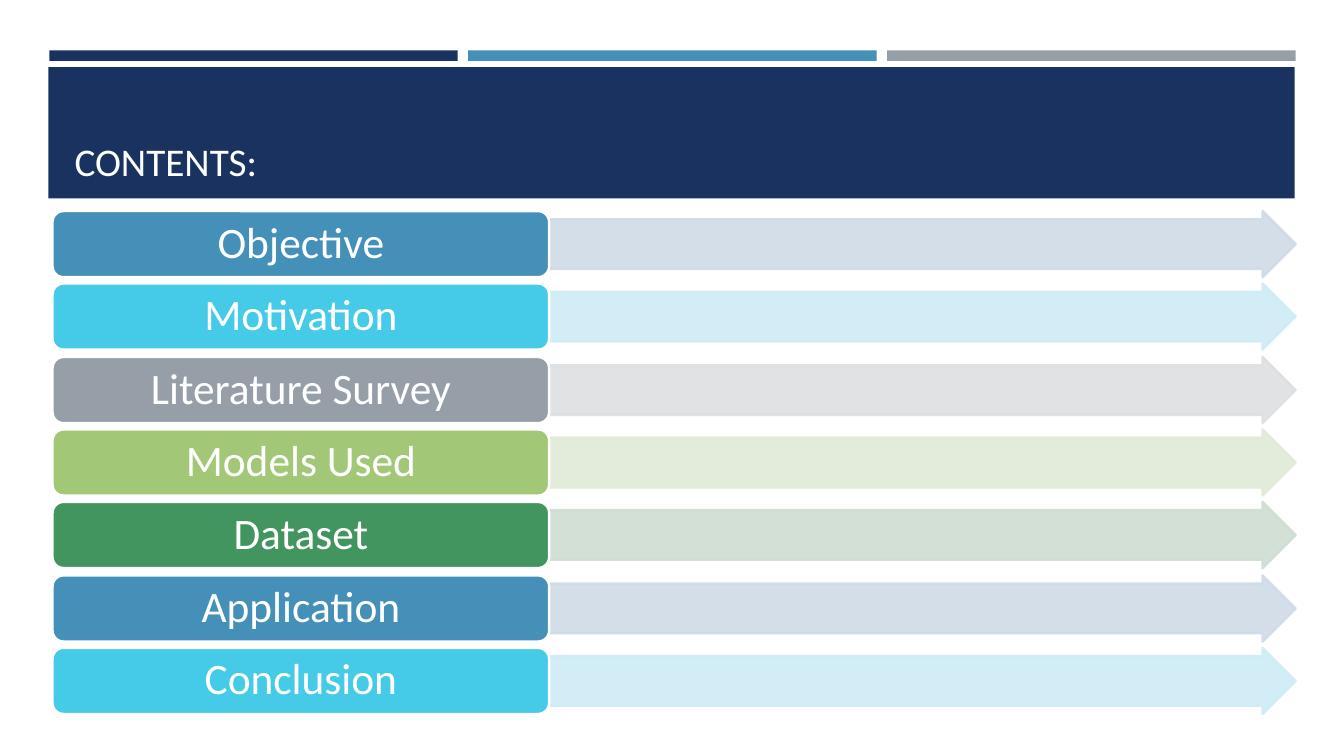
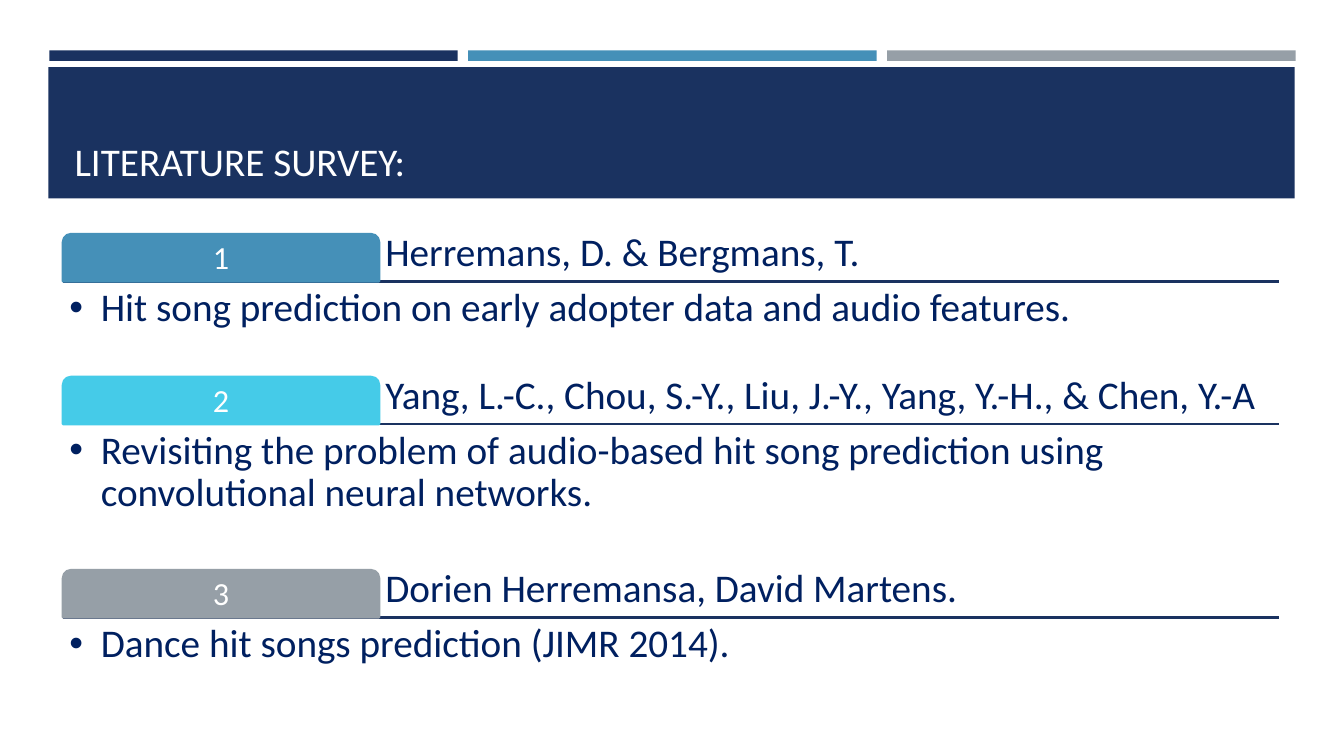
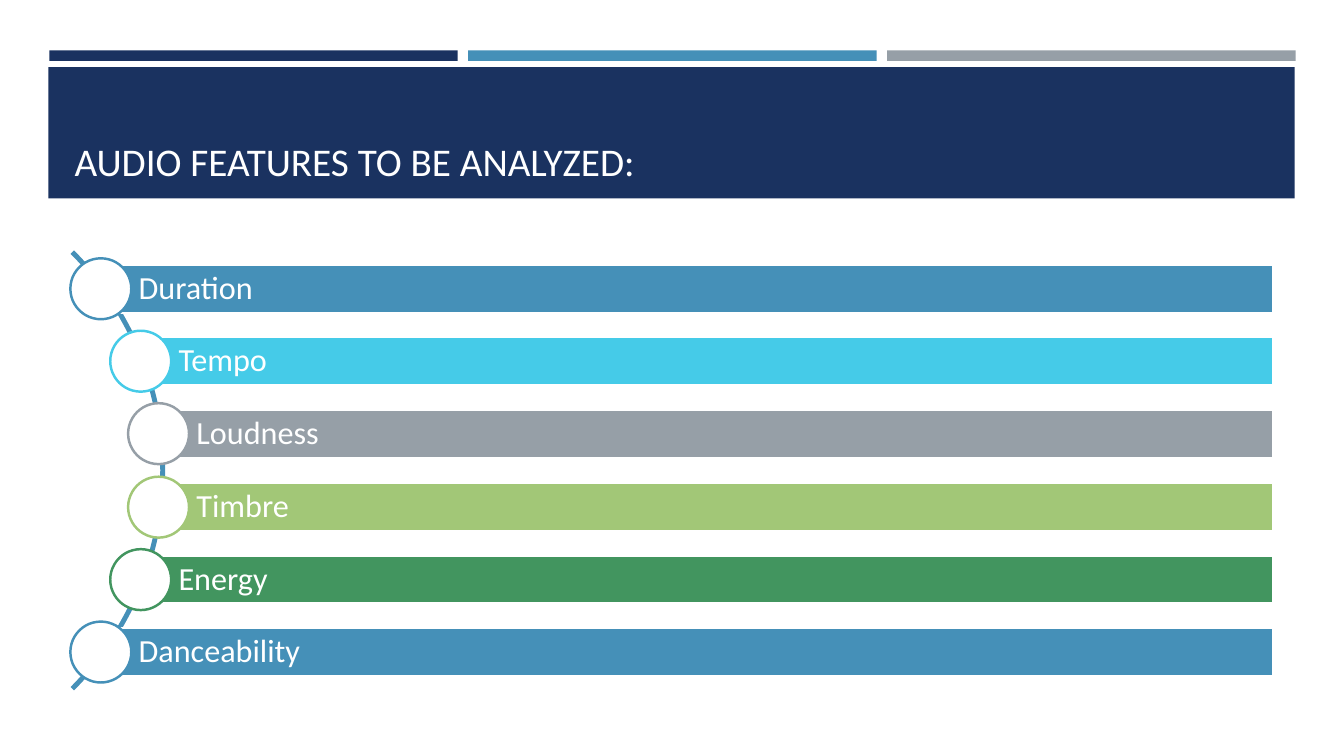
from math import cos, radians, sin, sqrt

from lxml.etree import SubElement
from pptx import Presentation
from pptx.dml.color import RGBColor
from pptx.enum.shapes import MSO_CONNECTOR as Connector, MSO_SHAPE as Shape
from pptx.enum.text import MSO_ANCHOR as Anchor, PP_ALIGN as Align
from pptx.oxml.ns import qn
from pptx.util import Emu, Pt

EMU_PER_PX = 9525
SLIDE_SIZE = (1280, 720)
FONT = "Calibri"
LINE_WIDTH = 1.75

WHITE = RGBColor(0xFF, 0xFF, 0xFF)
NAVY = RGBColor(0x1A, 0x32, 0x60)
INK = RGBColor(0x00, 0x20, 0x60)
BLUE = RGBColor(0x45, 0x90, 0xB8)
CYAN = RGBColor(0x45, 0xCB, 0xE8)
GRAY = RGBColor(0x96, 0x9F, 0xA7)
LIME = RGBColor(0xA2, 0xC7, 0x77)
GREEN = RGBColor(0x42, 0x95, 0x5F)
ACCENTS = [BLUE, CYAN, GRAY, LIME, GREEN]
TINTS = {
    BLUE: RGBColor(0xCF, 0xDB, 0xE6),
    CYAN: RGBColor(0xCF, 0xEC, 0xF6),
    GRAY: RGBColor(0xDD, 0xDF, 0xE1),
    LIME: RGBColor(0xE0, 0xEB, 0xD6),
    GREEN: RGBColor(0xCF, 0xDD, 0xD2),
}

CONTENTS = ["Objective", "Motivation", "Literature Survey", "Models Used",
            "Dataset", "Application", "Conclusion"]
SURVEY = [
    ("Herremans, D. & Bergmans, T.",
     "Hit song prediction on early adopter data and audio features.", 89),
    ("Yang, L.-C., Chou, S.-Y., Liu, J.-Y., Yang, Y.-H., & Chen, Y.-A",
     "Revisiting the problem of audio-based hit song prediction using "
     "convolutional neural networks.", 137),
    ("Dorien Herremansa, David Martens.",
     "Dance hit songs prediction (JIMR 2014).", 89),
]
FEATURES = ["Duration", "Tempo", "Loudness", "Timbre", "Energy", "Danceability"]


def px(*lengths):
    """Turn pixel lengths into a list of EMU lengths."""
    return [Emu(round(length * EMU_PER_PX)) for length in lengths]


def accent(index):
    """Return the accent colour of a row, cycling through the palette."""
    return ACCENTS[index % len(ACCENTS)]


def spread(first, last, count):
    """Return evenly spaced whole positions from first to last."""
    return [round(first + (last - first) * i / (count - 1)) for i in range(count)]


def add_panel(page, kind, box, fill, line=None, adjustments=()):
    """Add a flat preset shape with an optional outline."""
    panel = page.shapes.add_shape(kind, *px(*box))
    panel.shadow.inherit = False
    panel.fill.solid()
    panel.fill.fore_color.rgb = fill
    if line is None:
        panel.line.fill.background()
    else:
        panel.line.color.rgb = line
        panel.line.width = Pt(LINE_WIDTH)
    for index, value in enumerate(adjustments):
        panel.adjustments[index] = value
    return panel


def write(shape, text, size, color=WHITE, align=Align.LEFT, anchor=Anchor.MIDDLE,
          insets=(6, 6, 6, 6), spacing=0.9, bullet_indent=0):
    """Write one paragraph into a shape, with insets as left, top, right, bottom."""
    frame = shape.text_frame
    frame.word_wrap = True
    frame.vertical_anchor = anchor
    (frame.margin_left, frame.margin_top,
     frame.margin_right, frame.margin_bottom) = px(*insets)
    para = frame.paragraphs[0]
    para.text = text
    para.alignment = align
    para.line_spacing = spacing
    if bullet_indent:
        indent = px(bullet_indent)[0]
        properties = para._p.get_or_add_pPr()
        properties.set("marL", str(indent))
        properties.set("indent", str(-indent))
        SubElement(properties, qn("a:buFont")).set("typeface", "Arial")
        SubElement(properties, qn("a:buChar")).set("char", "•")
    para.font.name = FONT
    para.font.size = Pt(size)
    para.font.color.rgb = color


def add_text(page, box, text, size, **style):
    """Add a text box holding one paragraph."""
    write(page.shapes.add_textbox(*px(*box)), text, size, **style)


def add_rule(page, left, right, y):
    """Add a horizontal navy line."""
    rule = page.shapes.add_connector(Connector.STRAIGHT, *px(left, y, right, y))
    rule.line.color.rgb = NAVY
    rule.line.width = Pt(LINE_WIDTH)
    SubElement(rule._element.spPr, qn("a:effectLst"))


def set_opacity(shape, percent):
    """Make the fill and outline of a shape partly transparent."""
    for color in shape._element.spPr.iter(qn("a:srgbClr")):
        SubElement(color, qn("a:alpha")).set("val", str(percent * 1000))


def add_arc(page, center_x, center_y, radius, half_angle):
    """Add an open arc that bulges to the right."""
    points = [px(center_x + radius * cos(radians(angle)),
                 center_y + radius * sin(radians(angle)))
              for angle in range(-half_angle, half_angle + 1)]
    builder = page.shapes.build_freeform(*points[0])
    builder.add_line_segments(points[1:], close=False)
    arc = builder.convert_to_shape()
    arc.shadow.inherit = False
    arc.fill.background()
    arc.line.color.rgb = BLUE
    arc.line.width = Pt(3.5)


def add_page(deck, title):
    """Add a blank page with the three stripes and the title band."""
    page = deck.slides.add_slide(deck.slide_layouts[6])
    stripe_width, stripe_gap = 389, 10
    for index, color in enumerate([NAVY, BLUE, GRAY]):
        left = 47 + index * (stripe_width + stripe_gap)
        add_panel(page, Shape.RECTANGLE, (left, 48, stripe_width, 10), color)
    add_panel(page, Shape.RECTANGLE, (46, 64, 1187, 125), NAVY)
    add_text(page, (61, 74, 1158, 107), title, 28, anchor=Anchor.BOTTOM,
             insets=(10, 5, 10, 5), spacing=1.0)
    return page


def build_contents(deck):
    """Build the page of labelled arrows."""
    page = add_page(deck, "CONTENTS:")
    left, label_width, arrow_width, height = 50, 473, 711, 63
    for index, top in enumerate(spread(201, 617, len(CONTENTS))):
        color = accent(index)
        arrow = add_panel(page, Shape.RIGHT_ARROW,
                          (left + label_width, top, arrow_width, height),
                          TINTS[color], TINTS[color], (0.75, 0.5))
        set_opacity(arrow, 90)
        label = add_panel(page, Shape.ROUNDED_RECTANGLE,
                          (left, top, label_width, height), color, WHITE)
        write(label, CONTENTS[index], 31, align=Align.CENTER)


def build_survey(deck):
    """Build the page of numbered references."""
    page = add_page(deck, "LITERATURE SURVEY:")
    left, width, tab_width, tab_height, gap = 60, 1158, 301, 45, 2
    top = 223
    for index, (authors, finding, body_height) in enumerate(SURVEY):
        color = accent(index)
        base = top + tab_height
        add_rule(page, left, left + width, base)
        tab = add_panel(page, Shape.ROUND_2_SAME_RECTANGLE,
                        (left, top, tab_width, tab_height), color, color)
        write(tab, str(index + 1), 23, align=Align.CENTER, insets=(5, 5, 5, 5))
        add_text(page, (left + tab_width, top, width - tab_width, tab_height),
                 authors, 28, color=INK, anchor=Anchor.BOTTOM)
        add_text(page, (left, base, width, body_height), finding, 28,
                 color=INK, anchor=Anchor.TOP, bullet_indent=30)
        top = base + body_height + gap


def build_features(deck):
    """Build the page of bars that follow an arc."""
    page = add_page(deck, "AUDIO FEATURES TO BE ANALYZED:")
    center_x, center_y, bar_radius = -139, 448, 292
    right, bar_height, dot = 1213, 46, 58
    add_arc(page, center_x, center_y, 294, 45)
    for index, middle in enumerate(spread(275, 621, len(FEATURES))):
        color = accent(index)
        left = round(center_x + sqrt(bar_radius ** 2 - (middle - center_y) ** 2))
        bar = add_panel(page, Shape.RECTANGLE,
                        (left, middle - bar_height // 2, right - left, bar_height),
                        color, WHITE)
        write(bar, FEATURES[index], 23, insets=(36, 6, 6, 6))
        add_panel(page, Shape.OVAL,
                  (left - dot // 2, middle - dot // 2, dot, dot), WHITE, color)


def main():
    """Build the deck and save it."""
    deck = Presentation()
    deck.slide_width, deck.slide_height = px(*SLIDE_SIZE)
    build_contents(deck)
    build_survey(deck)
    build_features(deck)
    deck.save("out.pptx")


if __name__ == "__main__":
    main()
